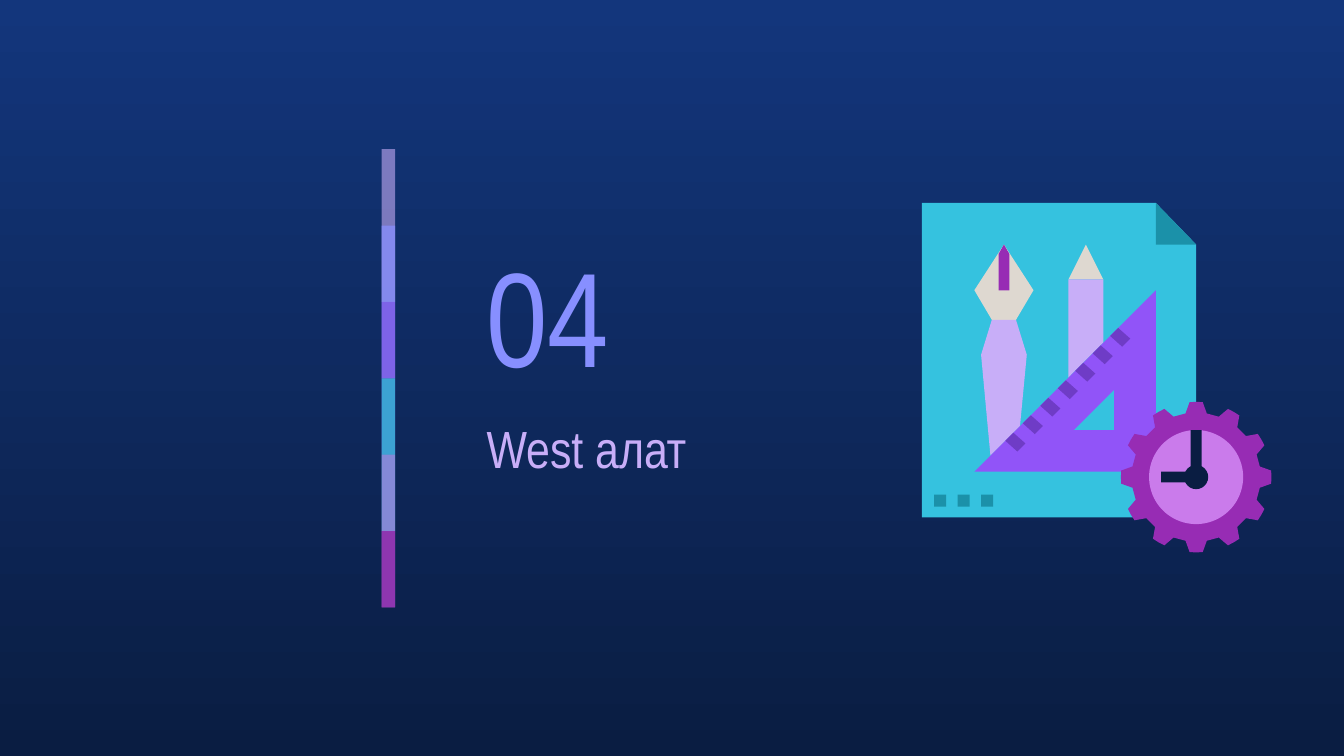
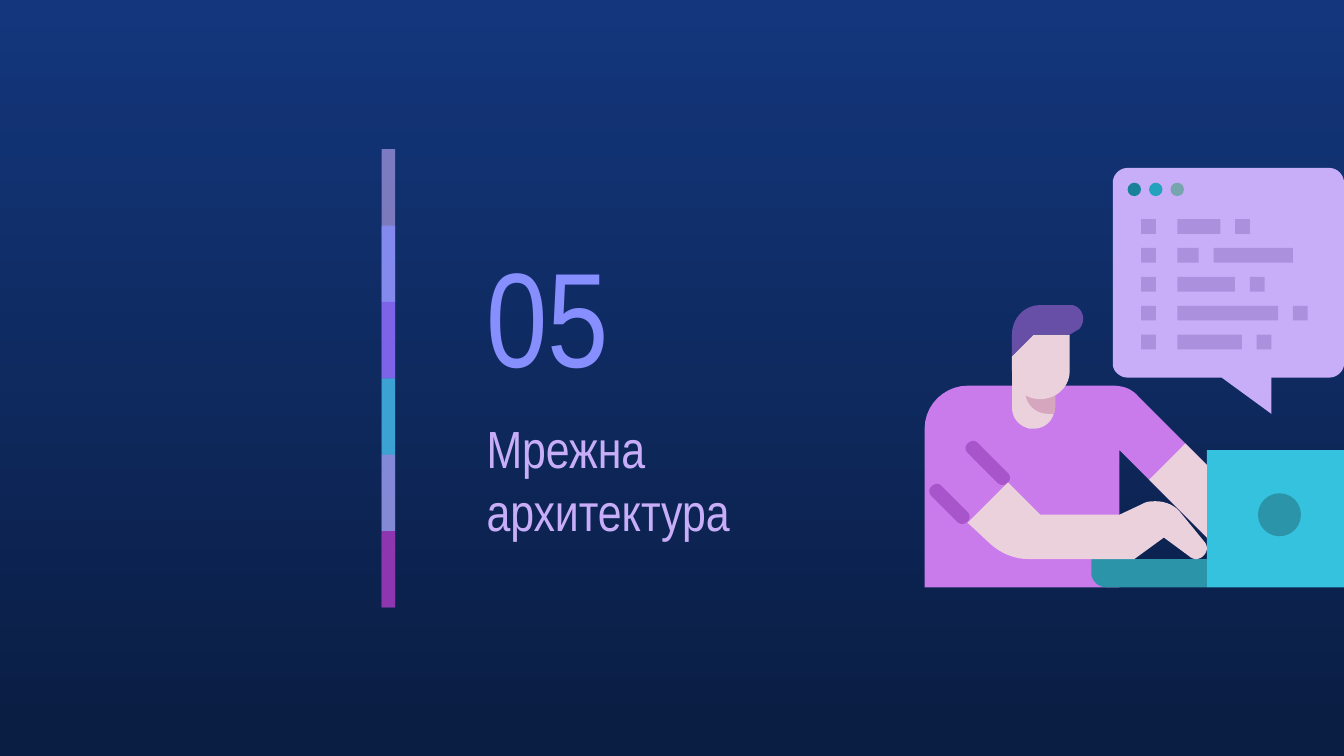
import math

from lxml import etree
from pptx import Presentation
from pptx import util as u
from pptx.dml.color import RGBColor
from pptx.enum import shapes as kinds, text as txt
from pptx.oxml.ns import qn

FONT = "Arial Narrow"
NIGHT_TOP, NIGHT = "13367C", "0A1D42"
LILAC, PERIWINKLE, VIOLET = "C8AEF8", "878FFF", "9154F8"
CYAN, ORCHID, PURPLE = "35C2DF", "CA7BEB", "972CB4"
TEAL, STEEL_TEAL, BONE, SKIN = "1B91A9", "2B94A9", "DED8D0", "EAD1DC"
NECK_SHADE, HAIR, FOLD, TICK, CODE = "D5A6BD", "674EA7", "A855CB", "6F3CC6", "AB90DE"

RECT = kinds.MSO_SHAPE.RECTANGLE
OVAL = kinds.MSO_SHAPE.OVAL

# Slide in 16:9
WIDTH = 10
HEIGHT = WIDTH * 9 / 16

# Side band, top to bottom: colour, opacity in percent, height in steps
BAND = [(LILAC, 59, 2), (PERIWINKLE, 74, 2), (VIOLET, 53, 2),
        (CYAN, 76, 2), (ORCHID, 56, 2), (PURPLE, 74, 1)]
BAND_TOP, BAND_HEIGHT = 1.11, 3.41


def rgb(color):
    return RGBColor.from_string(color)


def paint(shape, color, opacity=100):
    """Plain fill without line or shadow."""
    shape.shadow.inherit = False
    shape.line.fill.background()
    shape.fill.solid()
    shape.fill.fore_color.rgb = rgb(color)
    if opacity < 100:
        clr = shape._element.spPr.find(qn("a:solidFill"))[0]
        etree.SubElement(clr, qn("a:alpha")).set("val", str(opacity * 1000))


def block(shapes, kind, left, top, width, height, color, opacity=100):
    shape = shapes.add_shape(kind, u.Inches(left), u.Inches(top),
                             u.Inches(width), u.Inches(height))
    paint(shape, color, opacity)


def disc(shapes, x, y, radius, color):
    block(shapes, OVAL, x - radius, y - radius, 2 * radius, 2 * radius, color)


def flatten(steps, pieces=10):
    """Points of an outline; a step of six numbers is a Bezier curve."""
    points = []
    for step in steps:
        if len(step) == 2:
            points.append(step)
            continue
        (x0, y0), (x1, y1, x2, y2, x3, y3) = points[-1], step
        for i in range(1, pieces + 1):
            t = i / pieces
            a, b, c, d = (1 - t) ** 3, 3 * t * (1 - t) ** 2, 3 * t * t * (1 - t), t ** 3
            points.append((a * x0 + b * x1 + c * x2 + d * x3,
                           a * y0 + b * y1 + c * y2 + d * y3))
    return points


def outline(shapes, color, *contours):
    """Filled freeform; a second contour cuts a hole."""
    builder = None
    for contour in contours:
        start, *rest = [(u.Inches(x), u.Inches(y)) for x, y in flatten(contour)]
        if builder is None:
            builder = shapes.build_freeform(*start)
        else:
            builder.move_to(*start)
        builder.add_line_segments(rest, close=True)
    paint(builder.convert_to_shape(), color)


def write(shape, words, *, at, size, color, anchor=txt.MSO_ANCHOR.TOP):
    shape.left, shape.top, shape.width, shape.height = map(u.Inches, at)
    frame = shape.text_frame
    frame.word_wrap = True
    frame.auto_size = txt.MSO_AUTO_SIZE.NONE
    frame.vertical_anchor = anchor
    frame.margin_left = frame.margin_right = u.Inches(0.1)
    frame.margin_top = frame.margin_bottom = u.Inches(0.1)
    paragraph = frame.paragraphs[0]
    paragraph.alignment = txt.PP_ALIGN.LEFT
    run = paragraph.add_run()
    run.text = words
    run.font.name, run.font.size = FONT, u.Pt(size)
    run.font.color.rgb = rgb(color)


def draw_band(shapes):
    step = BAND_HEIGHT / len(BAND)
    for i, (color, opacity, steps) in enumerate(BAND):
        block(shapes, RECT, 2.84, BAND_TOP + i * step, 0.1, steps * step, color, opacity)


def add_section(prs, number, name, draw_illustration):
    slide = prs.slides.add_slide(prs.slide_layouts[5])
    # Night-sky background
    sky = slide.background.fill
    sky.gradient()
    sky.gradient_angle = 270
    for stop, position, color in zip(sky.gradient_stops, (0, 1), (NIGHT_TOP, NIGHT)):
        stop.position = position
        stop.color.rgb = rgb(color)
    # Number and section name
    write(slide.shapes.add_textbox(0, 0, 0, 0), number, at=(3.52, 1.66, 1.75, 1.35),
          size=72, color=PERIWINKLE, anchor=txt.MSO_ANCHOR.MIDDLE)
    write(slide.shapes.title, name, at=(3.52, 3, 2.87, 0.96), size=28, color=LILAC)
    draw_illustration(slide.shapes.add_group_shape().shapes)
    draw_band(slide.shapes.add_group_shape().shapes)


def gear_outline(x, y, tip, root, teeth=12):
    """Each tooth: root, tip, tip, root, at angles around its axis."""
    corners = ((-9.5, root), (-5, tip), (0, tip), (5, tip), (9.5, root))
    points = []
    for i in range(teeth):
        for offset, radius in corners:
            angle = math.radians(i * 360 / teeth + offset)
            points.append((x + radius * math.sin(angle), y - radius * math.cos(angle)))
    return points


def draw_design_sheet(shapes):
    # Sheet with folded corner
    outline(shapes, CYAN, [(6.86, 1.51), (6.86, 3.85), (8.9, 3.85), (8.9, 1.82), (8.6, 1.51)])
    outline(shapes, TEAL, [(8.6, 1.51), (8.6, 1.82), (8.9, 1.82)])
    for i in range(3):
        block(shapes, RECT, 6.95 + i * 0.35 / 2, 3.68, 0.09, 0.09, TEAL)
    # Pencil
    outline(shapes, BONE, [(8.08, 1.82), (7.95, 2.08), (8.21, 2.08)])
    outline(shapes, LILAC, [(7.95, 2.08), (7.95, 2.81), (8.21, 2.55), (8.21, 2.08)])
    # Pen
    outline(shapes, BONE, [(7.47, 1.82), (7.25, 2.16), (7.38, 2.38), (7.56, 2.38), (7.69, 2.16)])
    outline(shapes, LILAC, [(7.38, 2.38), (7.3, 2.64), (7.37, 3.39), (7.59, 3.17),
                            (7.64, 2.64), (7.56, 2.38)])
    outline(shapes, PURPLE, [(7.47, 1.82), (7.43, 1.89), (7.43, 2.16), (7.51, 2.16), (7.51, 1.89)])
    # Set square with ruler marks
    outline(shapes, VIOLET, [(8.6, 2.16), (7.25, 3.51), (8.6, 3.51)],
            [(8.29, 2.9), (8.29, 3.2), (7.99, 3.2)])
    for i in range(7):
        x, y = 7.48 + i * 0.13, 3.22 - i * 0.13
        outline(shapes, TICK, [(x + 0.06, y), (x, y + 0.06), (x + 0.09, y + 0.14),
                               (x + 0.15, y + 0.08)])
    # Gear clock
    x, y = 8.9, 3.55
    outline(shapes, PURPLE, gear_outline(x, y, 0.56, 0.48))
    disc(shapes, x, y, 0.35, ORCHID)
    outline(shapes, NIGHT, [(8.86, 3.2), (8.86, 3.51), (8.64, 3.51), (8.64, 3.59),
                            (8.94, 3.59), (8.94, 3.2)])
    disc(shapes, x, y, 0.09, NIGHT)


def draw_fold(shapes, x, y, run):
    """Sleeve fold: a round-ended stroke falling to the right."""
    outline(shapes, FOLD, [
        (x, y), (x - 0.01, y, x - 0.03, y + 0.01, x - 0.04, y + 0.02),
        (x - 0.06, y + 0.04, x - 0.06, y + 0.07, x - 0.04, y + 0.09),
        (x - 0.04 + run, y + 0.09 + run),
        (x - 0.01 + run, y + 0.12 + run, x + 0.02 + run, y + 0.11 + run,
         x + 0.04 + run, y + 0.09 + run),
        (x + 0.06 + run, y + 0.07 + run, x + 0.06 + run, y + 0.04 + run,
         x + 0.04 + run, y + 0.02 + run),
        (x + 0.04, y + 0.02), (x + 0.03, y + 0.01, x + 0.02, y, x, y)])


def draw_code_bubble(shapes):
    outline(shapes, LILAC, [
        (8.39, 1.25), (8.33, 1.25, 8.28, 1.3, 8.28, 1.36),
        (8.28, 2.71), (8.28, 2.76, 8.33, 2.81, 8.39, 2.81),
        (9.09, 2.81), (9.46, 3.08), (9.46, 2.81),
        (9.89, 2.81), (9.95, 2.81, 10, 2.76, 10, 2.71),
        (10, 1.36), (10, 1.3, 9.95, 1.25, 9.89, 1.25)])
    # Code lines: widths of the two words after the line mark
    gap, side = 0.11, 0.11
    lines = [(0.32, side), (0.16, 0.59), (0.43, side), (0.75, side), (0.48, side)]
    for i, (first, second) in enumerate(lines):
        y = 1.63 + i * 0.86 / 4
        for x, width in ((8.49, side), (8.76, first), (8.76 + first + gap, second)):
            block(shapes, RECT, x, y, width, side, CODE)


def draw_programmer(shapes):
    # Shirt
    outline(shapes, ORCHID, [
        (7.2, 2.87), (7.03, 2.87, 6.88, 3.01, 6.88, 3.19), (6.88, 4.37), (8.33, 4.37),
        (8.33, 3.35), (8.98, 4), (8.98, 3.46), (8.47, 2.95),
        (8.42, 2.89, 8.35, 2.87, 8.28, 2.87)])
    draw_fold(shapes, 6.97, 3.6, 0.19)
    draw_fold(shapes, 7.24, 3.28, 0.22)
    # Laptop
    block(shapes, RECT, 8.98, 3.35, 1.02, 1.02, CYAN)
    outline(shapes, STEEL_TEAL, [(8.12, 4.16), (8.12, 4.26), (8.12, 4.32, 8.17, 4.37, 8.23, 4.37),
                                 (8.98, 4.37), (8.98, 4.16)])
    # Neck and its shade
    outline(shapes, SKIN, [
        (7.53, 2.71), (7.53, 3.03), (7.53, 3.11, 7.58, 3.17, 7.66, 3.19),
        (7.67, 3.19, 7.68, 3.19, 7.69, 3.19), (7.76, 3.19, 7.82, 3.15, 7.84, 3.08),
        (7.85, 3.06, 7.85, 3.05, 7.85, 3.03), (7.85, 2.71)])
    outline(shapes, NECK_SHADE, [
        (7.63, 2.71), (7.63, 2.92), (7.63, 3.01, 7.71, 3.08, 7.8, 3.08), (7.84, 3.08),
        (7.85, 3.06, 7.85, 3.05, 7.85, 3.03), (7.85, 2.71)])
    # Arms
    outline(shapes, SKIN, [
        (7.5, 3.59), (7.2, 3.89), (7.35, 4.03), (7.43, 4.11, 7.54, 4.16, 7.65, 4.16),
        (8.44, 4.16), (8.66, 4), (8.85, 4.14), (8.86, 4.15, 8.88, 4.16, 8.9, 4.16),
        (8.94, 4.16, 8.98, 4.12, 8.98, 4.08), (8.98, 4.06, 8.97, 4.04, 8.96, 4.03),
        (8.78, 3.81), (8.74, 3.76, 8.67, 3.73, 8.6, 3.73),
        (8.57, 3.73, 8.53, 3.73, 8.5, 3.75), (8.33, 3.83), (7.74, 3.83)])
    outline(shapes, SKIN, [(8.82, 3.3), (8.55, 3.57), (8.98, 4), (8.98, 3.46)])
    # Laptop badge
    disc(shapes, 9.52, 3.83, 0.16, STEEL_TEAL)
    draw_code_bubble(shapes)
    # Head and hair
    outline(shapes, SKIN, [
        (7.69, 2.49), (7.53, 2.65), (7.53, 2.76), (7.53, 2.88, 7.62, 2.97, 7.74, 2.97),
        (7.86, 2.97, 7.96, 2.88, 7.96, 2.76), (7.96, 2.49)])
    outline(shapes, HAIR, [
        (7.74, 2.27), (7.62, 2.27, 7.53, 2.37, 7.53, 2.49), (7.53, 2.65), (7.69, 2.49),
        (7.96, 2.49), (8.01, 2.46), (8.04, 2.45, 8.06, 2.41, 8.06, 2.37),
        (8.06, 2.32, 8.02, 2.27, 7.97, 2.27)])
    # Window buttons of the code bubble
    for i, color in enumerate(("198298", "22A2BC", "76A5AF")):
        disc(shapes, 8.44 + i * 0.16, 1.41, 0.05, color)


def main():
    prs = Presentation()
    prs.slide_width, prs.slide_height = u.Inches(WIDTH), u.Inches(HEIGHT)
    add_section(prs, "04", "West алат", draw_design_sheet)
    add_section(prs, "05", "Мрежна архитектура", draw_programmer)
    prs.save("out.pptx")


if __name__ == "__main__":
    main()
